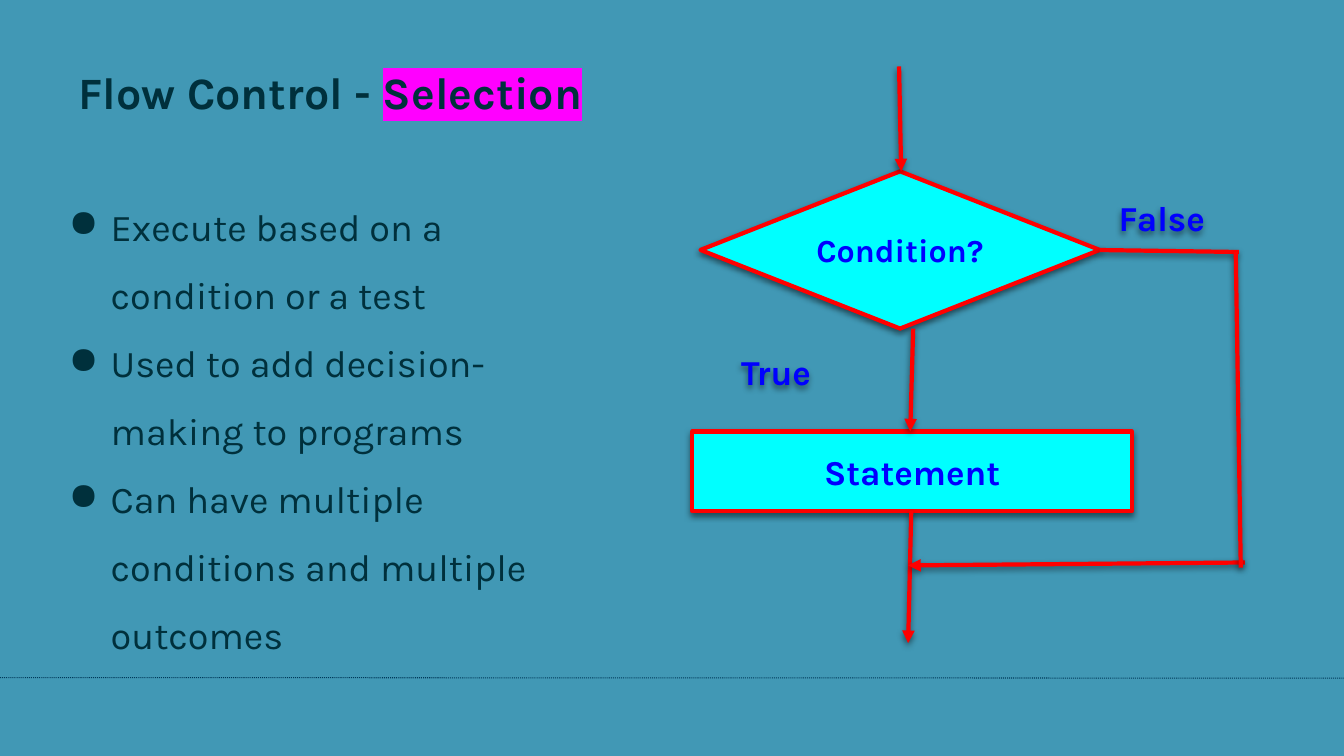
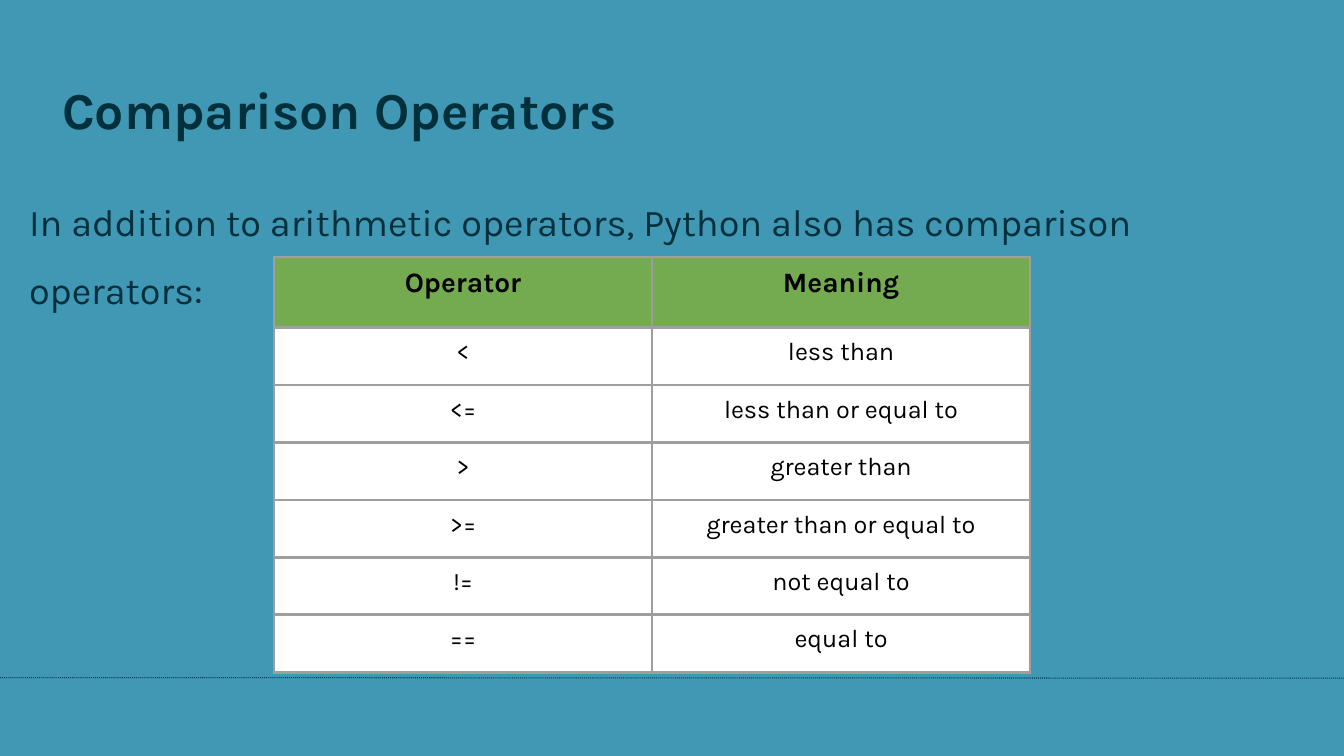
"""Build two slides on selection and comparison operators."""
from dataclasses import dataclass

from lxml.etree import SubElement
from pptx import Presentation
from pptx.dml.color import RGBColor
from pptx.enum.dml import MSO_LINE
from pptx.enum.shapes import MSO_CONNECTOR, MSO_SHAPE
from pptx.enum.text import MSO_ANCHOR, PP_ALIGN
from pptx.oxml.ns import qn
from pptx.util import Pt

FONT = "Karla"
BACK, INK, RULE = "4198B5", "00303C", "00395A"
RED, CYAN, BLUE, PINK = "FF0000", "00FFFF", "0000FF", "FF00FF"
GREEN, WHITE, BLACK, GRAY = "74AA50", "FFFFFF", "000000", "9E9E9E"
WIDE, HIGH = 960, 540
PAD = 7.2


@dataclass
class Box:
    left: float
    top: float
    width: float
    height: float


@dataclass
class Node:
    text: str
    kind: MSO_SHAPE
    box: Box
    size: float


@dataclass
class Label:
    text: str
    box: Box


@dataclass
class Link:
    start: tuple[float, float]
    end: tuple[float, float]
    head: bool = True


NODES = [
    Node("Statement", MSO_SHAPE.RECTANGLE, Box(494.6, 308.2, 313.9, 56.9), 25),
    Node("Condition?", MSO_SHAPE.DIAMOND, Box(500.4, 122.4, 285.1, 112.3), 23),
]
LINKS = [
    Link((785.5, 178.6), (884.9, 180), head=False),
    Link((642.2, 47.5), (643.7, 122.4)),
    Link((652.3, 234.7), (650.2, 308.2)),
    Link((650.9, 365), (648.7, 459.4)),
    Link((889.2, 401.8), (648.7, 403.9)),
    Link((882.7, 180), (886.3, 405.4), head=False),
]
LABELS = [
    Label("True", Box(500.4, 243.4, 108, 42.5)),
    Label("False", Box(766.8, 133.2, 126, 42.5)),
]
POINTS = [
    "Execute based on a condition or a test",
    "Used to add decision-making to programs",
    "Can have multiple conditions and multiple outcomes",
]
ROWS = [
    ("Operator", "Meaning"),
    ("<", "less than"),
    ("<=", "less than or equal to"),
    (">", "greater than"),
    (">=", "greater than or equal to"),
    ("!=", "not equal to"),
    ("==", "equal to"),
]


def color(code: str) -> RGBColor:
    return RGBColor.from_string(code)


def tint(parent, code: str):
    fill = SubElement(parent, qn("a:solidFill"))
    return SubElement(fill, qn("a:srgbClr"), val=code)


def place(box: Box) -> tuple:
    return Pt(box.left), Pt(box.top), Pt(box.width), Pt(box.height)


def shade(item, drop: bool = True) -> None:
    effect = SubElement(item.element.spPr, qn("a:effectLst"))
    if drop:
        cast = SubElement(effect, qn("a:outerShdw"), blurRad=str(Pt(4.5)),
                          dist=str(Pt(2.2)), dir=str(101 * 60000), rotWithShape="0")
        tone = SubElement(cast, qn("a:srgbClr"), val=BLACK)
        SubElement(tone, qn("a:alpha"), val="50000")


def style(run, size: float, code: str, bold: bool, mark: str = "") -> None:
    font = run.font
    font.name, font.size, font.bold = FONT, Pt(size), bold
    font.color.rgb = color(code)
    if mark:
        props = run._r.get_or_add_rPr()
        light = SubElement(props, qn("a:highlight"))
        SubElement(light, qn("a:srgbClr"), val=mark)
        props.find(qn("a:solidFill")).addnext(light)


def dot(para) -> None:
    props = para._p.get_or_add_pPr()
    props.set("marL", str(Pt(36)))
    props.set("indent", str(Pt(-30)))
    hue = SubElement(props, qn("a:buClr"))
    SubElement(hue, qn("a:srgbClr"), val=INK)
    SubElement(props, qn("a:buChar"), char="●")


def write(frame, *lines: str, size: float, code: str = INK, bold: bool = False,
          align: PP_ALIGN = PP_ALIGN.LEFT, space: float | None = None,
          bullet: bool = False, marked: str = "") -> None:
    for index, line in enumerate(lines):
        para = frame.add_paragraph() if index else frame.paragraphs[0]
        if bullet:
            dot(para)
        para.alignment = align
        if space:
            para.line_spacing = space
        run = para.add_run()
        run.text = line
        style(run, size, code, bold)
    if marked:
        run = para.add_run()
        run.text = marked
        style(run, size, code, bold, PINK)


def setup(frame, anchor: MSO_ANCHOR, edge: float = 3.6):
    frame.word_wrap = True
    frame.vertical_anchor = anchor
    frame.margin_left = frame.margin_right = Pt(PAD)
    frame.margin_top = frame.margin_bottom = Pt(edge)
    return frame


def panel(slide, box: Box, anchor: MSO_ANCHOR = MSO_ANCHOR.TOP):
    return setup(slide.shapes.add_textbox(*place(box)).text_frame, anchor)


def title(slide, text: str, box: Box, size: float, marked: str = "") -> None:
    write(panel(slide, box, MSO_ANCHOR.MIDDLE), text, size=size, bold=True,
          marked=marked)


def stroke(slide, link: Link, code: str, width: float):
    ends = [Pt(value) for value in (*link.start, *link.end)]
    line = slide.shapes.add_connector(MSO_CONNECTOR.STRAIGHT, *ends)
    line.line.color.rgb = color(code)
    line.line.width = Pt(width)
    return line


def arrow(slide, link: Link) -> None:
    line = stroke(slide, link, RED, 3)
    if link.head:
        SubElement(line.line._get_or_add_ln(), qn("a:tailEnd"), type="triangle")
    shade(line)


def node(slide, item: Node) -> None:
    shape = slide.shapes.add_shape(item.kind, *place(item.box))
    shape.fill.solid()
    shape.fill.fore_color.rgb = color(CYAN)
    shape.line.color.rgb = color(RED)
    shape.line.width = Pt(3)
    shade(shape)
    write(setup(shape.text_frame, MSO_ANCHOR.MIDDLE, PAD), item.text,
          size=item.size, code=BLUE, bold=True, align=PP_ALIGN.CENTER)


def label(slide, item: Label) -> None:
    shape = slide.shapes.add_textbox(*place(item.box))
    shade(shape)
    write(setup(shape.text_frame, MSO_ANCHOR.TOP, PAD), item.text,
          size=25, code=BLUE, bold=True, align=PP_ALIGN.CENTER)


def border(cell) -> None:
    props = cell._tc.get_or_add_tcPr()
    for side in ("lnL", "lnR", "lnT", "lnB"):
        tint(SubElement(props, qn(f"a:{side}"), w=str(Pt(2.25))), GRAY)


def grid(slide, left: float, top: float) -> None:
    heights = [50.4] + [41.04] * (len(ROWS) - 1)
    box = Box(left, top, 540, sum(heights))
    table = slide.shapes.add_table(len(ROWS), 2, *place(box)).table
    table.horz_banding = False
    for row, (texts, height) in enumerate(zip(ROWS, heights)):
        table.rows[row].height = Pt(height)
        first = row == 0
        for col, text in enumerate(texts):
            cell = table.cell(row, col)
            border(cell)
            cell.fill.solid()
            cell.fill.fore_color.rgb = color(GREEN if first else WHITE)
            cell.margin_left = cell.margin_right = Pt(PAD)
            cell.margin_top = cell.margin_bottom = Pt(PAD)
            write(cell.text_frame, text, size=20 if first else 18,
                  code=BLACK, bold=first, align=PP_ALIGN.CENTER)


def start(deck):
    slide = deck.slides.add_slide(deck.slide_layouts[6])
    rule = stroke(slide, Link((0, 484), (WIDE, 484.4)), RULE, 0.75)
    rule.line.dash_style = MSO_LINE.ROUND_DOT
    shade(rule, drop=False)
    return slide


def choice(deck) -> None:
    slide = start(deck)
    title(slide, "Flow Control - ", Box(49, 20.2, 700.6, 90), 32, "Selection")
    write(panel(slide, Box(36, 162, 406, 311), MSO_ANCHOR.BOTTOM), *POINTS,
          size=27, space=1.5, bullet=True)
    for item in NODES:
        node(slide, item)
    for link in LINKS:
        arrow(slide, link)
    for item in LABELS:
        label(slide, item)


def compare(deck) -> None:
    slide = start(deck)
    title(slide, "Comparison Operators", Box(37.4, 32.4, 712.8, 90), 37)
    write(panel(slide, Box(13.7, 122.4, 919.4, 52.6)),
          "In addition to arithmetic operators, Python also has comparison operators:",
          size=27, space=1.5)
    grid(slide, 195.8, 183.6)


def main() -> None:
    deck = Presentation()
    deck.slide_width, deck.slide_height = Pt(WIDE), Pt(HIGH)
    fill = deck.slide_master.background.fill
    fill.solid()
    fill.fore_color.rgb = color(BACK)
    choice(deck)
    compare(deck)
    deck.save("out.pptx")


if __name__ == "__main__":
    main()
